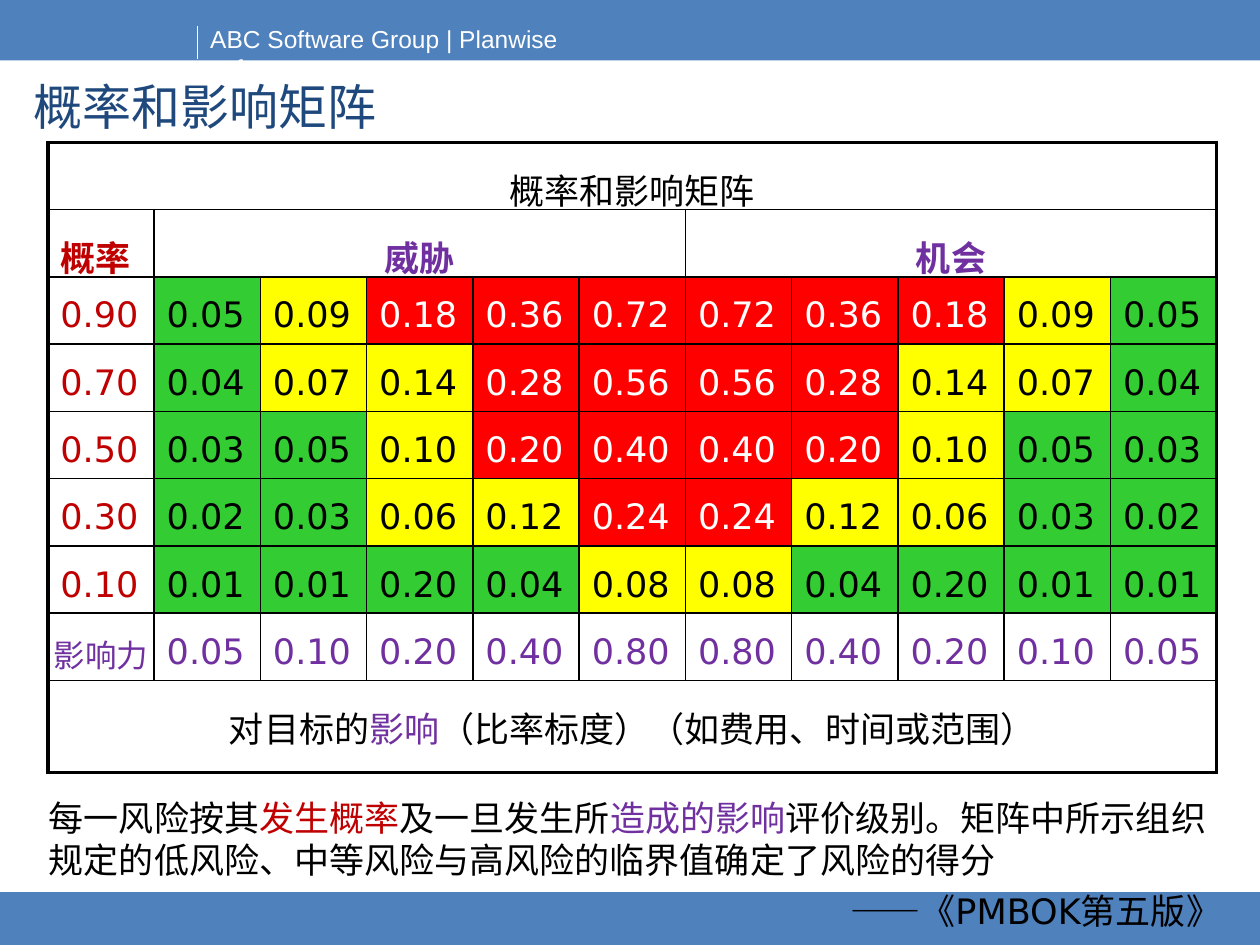
from dataclasses import dataclass
from lxml import etree
from pptx import Presentation, util as u
from pptx.dml.color import RGBColor
from pptx.enum import shapes, text
from pptx.oxml.ns import qn

BLUE, NAVY, WHITE, BLACK = "4F81BD", "1F497D", "FFFFFF", "000000"
CRIMSON, PURPLE = "C00000", "7030A0"
SANS = "DejaVu Sans"
CENTER, RIGHT = text.PP_ALIGN.CENTER, text.PP_ALIGN.RIGHT
MIDDLE = text.MSO_ANCHOR.MIDDLE


@dataclass
class Run:
    words: str
    color: str = BLACK
    size: float = 20
    font: str = SANS
    bold: bool = False


@dataclass
class RiskRow:
    probability: str
    scores: list[str]
    levels: str  # one letter per score: low, medium, high


@dataclass
class Level:
    fill: str
    color: str


LEVELS = {"L": Level("33CC33", BLACK), "M": Level("FFFF00", BLACK),
          "H": Level("FF0000", WHITE)}

# Threat scores; the opportunity half mirrors them
RISKS = [
    RiskRow("0.90", ["0.05", "0.09", "0.18", "0.36", "0.72"], "LMHHH"),
    RiskRow("0.70", ["0.04", "0.07", "0.14", "0.28", "0.56"], "LMMHH"),
    RiskRow("0.50", ["0.03", "0.05", "0.10", "0.20", "0.40"], "LLMHH"),
    RiskRow("0.30", ["0.02", "0.03", "0.06", "0.12", "0.24"], "LLMMH"),
    RiskRow("0.10", ["0.01", "0.01", "0.20", "0.04", "0.08"], "LLLLM"),
]
IMPACTS = ["0.05", "0.10", "0.20", "0.40", "0.80"]
ROW_HEIGHTS = [0.5] * 7 + [0.53, 0.73]
COLUMNS = 11
LAST_ROW, LAST_COLUMN = len(ROW_HEIGHTS) - 1, COLUMNS - 1
TABLE_WIDTH = 9.28


def rgb(color: str) -> RGBColor:
    return RGBColor.from_string(color)


def set_attributes(target, values: dict) -> None:
    for name, value in values.items():
        setattr(target, name, value)


def write(paragraph, runs: list[Run], **layout) -> None:
    set_attributes(paragraph, layout)
    for item in runs:
        run = paragraph.add_run()
        run.text = item.words
        set_attributes(run.font, {"name": item.font, "size": u.Pt(item.size),
                                  "bold": item.bold})
        run.font.color.rgb = rgb(item.color)


def add_bar(slide, top: float, height: float) -> None:
    bar = slide.shapes.add_shape(shapes.MSO_SHAPE.RECTANGLE, 0, u.Inches(top),
                                 u.Inches(10), u.Inches(height))
    bar.shadow.inherit = False
    bar.fill.solid()
    bar.fill.fore_color.rgb = rgb(BLUE)
    bar.line.fill.background()


def add_text_frame(slide, left: float, top: float, width: float, height: float):
    box = slide.shapes.add_textbox(u.Inches(left), u.Inches(top),
                                   u.Inches(width), u.Inches(height))
    box.text_frame.word_wrap = True
    return box.text_frame


def set_border(cell, side: str, width: float) -> None:
    line = etree.SubElement(cell._tc.get_or_add_tcPr(), qn(f"a:ln{side}"),
                            w=str(u.Pt(width)))
    fill = etree.SubElement(line, qn("a:solidFill"))
    etree.SubElement(fill, qn("a:srgbClr"), val=BLACK)


def frame_cell(cell, row: int, column: int) -> None:
    """Thick lines on the table's edge, thin ones inside, none within a span."""
    end = column + (cell.span_width if cell.is_merge_origin else 1) - 1
    sides = {"L": column == 0, "R": end == LAST_COLUMN,
             "T": row == 0, "B": row == LAST_ROW}
    for side, outer in sides.items():
        if not cell.is_spanned or side in "TB" or outer:
            set_border(cell, side, 2.25 if outer else 1)


def fill_cell(cell, runs: list[Run], fill: str = "", **layout) -> None:
    write(cell.text_frame.paragraphs[0], runs, line_spacing=1.3, **layout)
    if fill:
        cell.fill.solid()
        cell.fill.fore_color.rgb = rgb(fill)


def add_matrix(slide) -> None:
    frame = slide.shapes.add_table(len(ROW_HEIGHTS), COLUMNS, u.Inches(0.38), u.Inches(1.13),
                                   u.Inches(TABLE_WIDTH), u.Inches(sum(ROW_HEIGHTS)))
    table = frame.table
    set_attributes(table, {"first_row": False, "horz_banding": False})
    for column in table.columns:
        column.width = u.Inches(TABLE_WIDTH / COLUMNS)
    for row, height in zip(table.rows, ROW_HEIGHTS):
        row.height = u.Inches(height)

    # Spans, borders and empty fills
    for row, first, last in [(0, 0, 10), (1, 1, 5), (1, 6, 10), (LAST_ROW, 0, 10)]:
        table.cell(row, first).merge(table.cell(row, last))
    for row in range(LAST_ROW + 1):
        for column in range(COLUMNS):
            cell = table.cell(row, column)
            frame_cell(cell, row, column)
            cell.fill.background()

    # Headings
    fill_cell(table.cell(0, 0), [Run("概率和影响矩阵")], alignment=CENTER)
    fill_cell(table.cell(1, 0), [Run("概率", CRIMSON, bold=True)])
    for column, heading in [(1, "威胁"), (6, "机会")]:
        fill_cell(table.cell(1, column), [Run(heading, PURPLE, bold=True)], alignment=CENTER)

    # Scores
    for row, risk in enumerate(RISKS, start=2):
        fill_cell(table.cell(row, 0), [Run(risk.probability, CRIMSON)])
        scores = risk.scores + risk.scores[::-1]
        levels = risk.levels + risk.levels[::-1]
        for column, (score, key) in enumerate(zip(scores, levels), start=1):
            level = LEVELS[key]
            fill_cell(table.cell(row, column), [Run(score, level.color)], level.fill)

    # Impact scale
    label = table.cell(7, 0)
    set_attributes(label, {"vertical_anchor": MIDDLE, "margin_left": 0, "margin_right": 0,
                           "margin_top": 0, "margin_bottom": 0})
    fill_cell(label, [Run("影响力", PURPLE, 18)], alignment=CENTER)
    for column, impact in enumerate(IMPACTS + IMPACTS[::-1], start=1):
        fill_cell(table.cell(7, column), [Run(impact, PURPLE)])
    fill_cell(table.cell(LAST_ROW, 0),
              [Run("对目标的"), Run("影响", PURPLE), Run("（比率标度）（如费用、时间或范围）")],
              alignment=CENTER)


def main() -> None:
    presentation = Presentation()
    set_attributes(presentation, {"slide_width": u.Inches(10), "slide_height": u.Inches(7.5)})
    slide = presentation.slides.add_slide(presentation.slide_layouts[6])

    # Header and footer bars
    add_bar(slide, 7.08, 0.42)
    add_bar(slide, 0, 0.48)
    header = add_text_frame(slide, 1.57, 0.14, 3.61, 0.33)
    write(header.paragraphs[0],
          [Run("ABC Software Group | Planwise software", WHITE, 14, "Arial")])
    divider = slide.shapes.add_connector(shapes.MSO_CONNECTOR.STRAIGHT, u.Inches(1.57),
                                         u.Inches(0.21), u.Inches(1.57), u.Inches(0.47))
    divider.line.color.rgb = rgb(WHITE)
    divider.line.width = u.Pt(0.75)
    etree.SubElement(divider._element.spPr, qn("a:effectLst"))

    # Title
    title = add_text_frame(slide, 0.17, 0.61, 9.68, 0.52)
    title.vertical_anchor = MIDDLE
    write(title.paragraphs[0], [Run("概率和影响矩阵", NAVY, 28, "DejaVu Sans Mono")],
          line_spacing=0.9)

    add_matrix(slide)

    # Explanation and citation
    note = add_text_frame(slide, 0.29, 6.27, 9.5, 1.18)
    write(note.paragraphs[0], [
        Run("每一风险按其"), Run("发生概率", CRIMSON), Run("及一旦发生所"),
        Run("造成的影响", PURPLE),
        Run("评价级别。矩阵中所示组织规定的低风险、中等风险与高风险的临界值确定了风险的得分")])
    write(note.add_paragraph(), [Run("——《PMBOK第五版》")],
          alignment=RIGHT, space_before=u.Pt(5))
    presentation.save("out.pptx")


if __name__ == "__main__":
    main()
